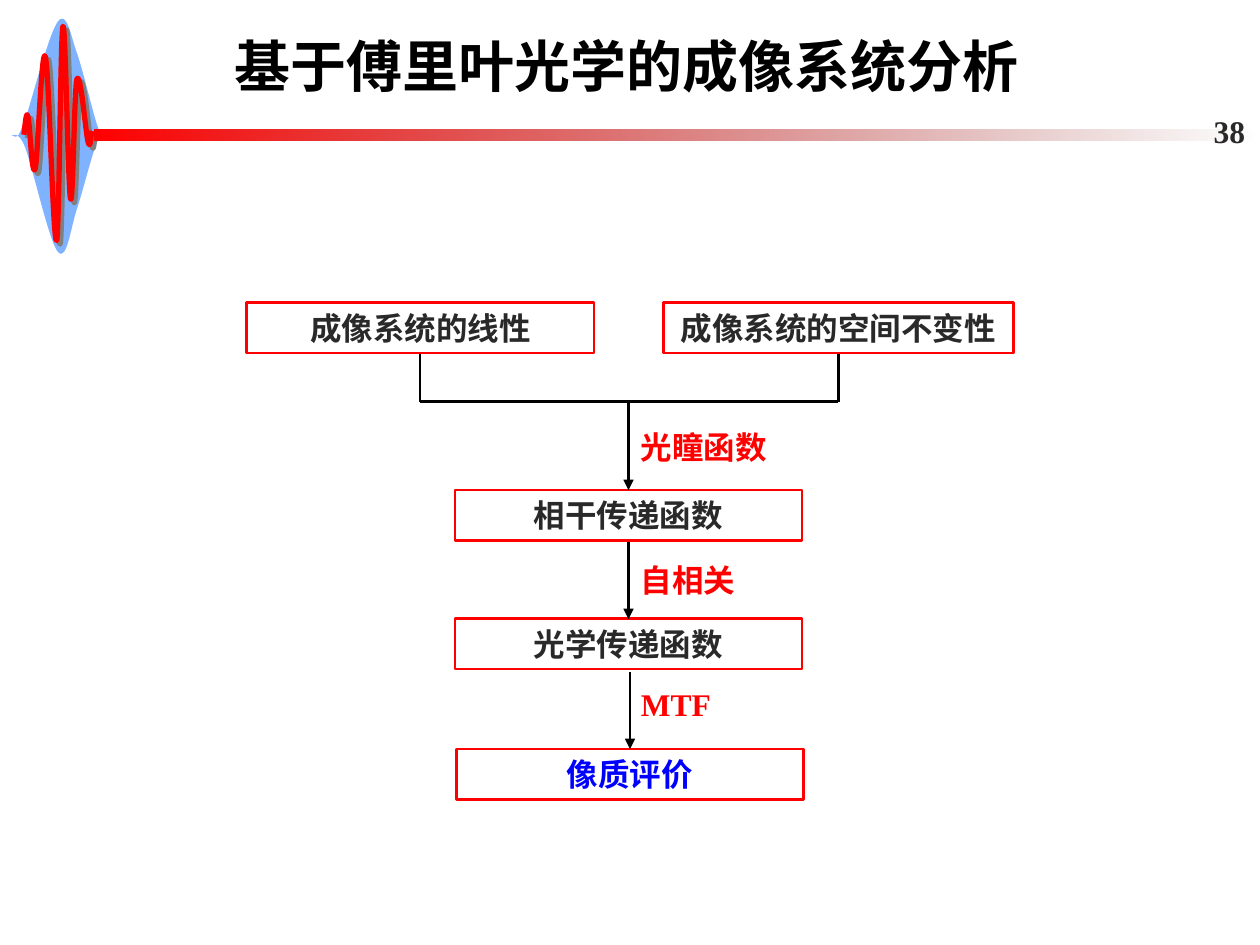
import math
from dataclasses import dataclass

from lxml import etree
from pptx import Presentation, util as u
from pptx.dml.color import RGBColor
from pptx.enum import shapes, text
from pptx.oxml import ns


@dataclass(frozen=True)
class Theme:
    red: RGBColor = RGBColor(0xFF, 0, 0)
    dark_red: RGBColor = RGBColor(0x76, 0, 0)
    blue: RGBColor = RGBColor(0, 0, 0xFF)
    sky: RGBColor = RGBColor(0, 0x66, 0xFF)
    black: RGBColor = RGBColor(0, 0, 0)
    ink: RGBColor = RGBColor(0x29, 0x29, 0x29)
    latin: str = "Times New Roman"
    cjk: str = "Noto Sans CJK SC"
    title: u.Pt = u.Pt(32)
    body: u.Pt = u.Pt(18)
    rule: u.Pt = u.Pt(1.5)


T = Theme()


def write(s, words, color, align, size=T.body, font=T.latin, wrap=True):
    tf = s.text_frame
    frame = {"word_wrap": wrap, "vertical_anchor": text.MSO_ANCHOR.MIDDLE}
    for key, value in frame.items():
        setattr(tf, key, value)
    p = tf.paragraphs[0]
    p.alignment = align
    r = p.add_run()
    r.text = words
    r.font.color.rgb = color
    for key, value in {"size": size, "bold": True, "name": font}.items():
        setattr(r.font, key, value)
    etree.SubElement(r.font._element, ns.qn("a:ea"), typeface=T.cjk)


def add_curve(coords, close):
    """Join cubic curves: a start, then two handles and an end for each (0.01 inch)."""
    pts = [(u.Cm(x * 0.0254), u.Cm(y * 0.0254)) for x, y in coords]
    fb = s_tree.build_freeform(*pts[0], scale=1.0)
    fb.add_line_segments(pts[1:], close=close)
    s = fb.convert_to_shape()
    s.shadow.inherit = False
    segments = s.element.xpath(".//a:lnTo")
    for i in range(0, len(segments) - 2, 3):
        curve = etree.Element(ns.qn("a:cubicBezTo"))
        segments[i].addprevious(curve)
        for segment in segments[i:i + 3]:
            curve.append(segment[0])
            segment.getparent().remove(segment)
    return s


prs = Presentation()
prs.slide_width, prs.slide_height = u.Cm(25.4), u.Cm(19.05)
s_tree = prs.slides.add_slide(prs.slide_layouts[6]).shapes

# Pale envelope behind the wave, outlined upright and then tilted
tilt, cx, cy = 358, 48, 108
cos, sin = math.cos(math.radians(-tilt)), math.sin(math.radians(-tilt))
envelope = [
    (9, 107), (8, 106), (12, 110), (14, 108), (15, 106), (14, 110), (20, 95),
    (25, 80), (39, 26), (46, 17), (53, 8), (56, 28), (61, 42),
    (66, 56), (74, 91), (78, 102), (83, 113), (88, 106), (88, 108),
    (88, 110), (82, 103), (77, 113), (73, 122), (66, 151), (61, 166),
    (56, 181), (53, 208), (46, 200), (39, 192), (26, 133), (20, 117),
    (14, 102), (10, 109), (9, 107)]
s = add_curve([(cx + (x - cx) * cos - (y - cy) * sin, cy + (x - cx) * sin + (y - cy) * cos)
               for x, y in envelope], close=True)
s.rotation = tilt
s.fill.solid()
s.fill.fore_color.rgb = T.sky
s.line.fill.background()
etree.SubElement(s.element.xpath(".//a:solidFill/a:srgbClr")[0], ns.qn("a:alpha"), val="50000")

# Red wave with its grey shadow
s = add_curve([
    (19, 107), (20, 98), (21, 88), (22, 92), (24, 97), (25, 142), (28, 134),
    (30, 126), (33, 35), (36, 45), (39, 54), (42, 195), (45, 191),
    (47, 187), (48, 26), (50, 21), (52, 15), (54, 151), (56, 158),
    (58, 165), (59, 70), (61, 63), (64, 55), (68, 106), (70, 113),
    (72, 120), (72, 106), (73, 104)], close=False)
s.fill.background()
s.line.color.rgb = T.red
s.line.width = u.Pt(3)
shadow = etree.SubElement(s.element.spPr.find(ns.qn("a:effectLst")), ns.qn("a:outerShdw"),
                          dist=str(u.Pt(2.8)), dir="2700000", algn="ctr", rotWithShape="0")
etree.SubElement(shadow, ns.qn("a:srgbClr"), val="808080")

# Fading bar
s = s_tree.add_shape(shapes.MSO_SHAPE.RECTANGLE, u.Cm(1.9), u.Cm(2.62), u.Cm(23.5), u.Cm(0.21))
s.shadow.inherit = False
s.line.fill.background()
s.fill.gradient()
s.fill.gradient_angle = 0
for stop, color, place in zip(s.fill.gradient_stops, (T.red, T.dark_red), (0, 1)):
    stop.color.rgb = color
    stop.position = place
etree.SubElement(s.element.xpath(".//a:gs/a:srgbClr")[-1], ns.qn("a:alpha"), val="0")

# Title and page number
s = s_tree.add_textbox(u.Cm(2.69), u.Cm(0.31), u.Cm(19.89), u.Cm(2.01))
write(s, "基于傅里叶光学的成像系统分析", T.black, text.PP_ALIGN.CENTER, T.title, T.cjk)
s = s_tree.add_textbox(u.Cm(23.14), u.Cm(2.34), u.Cm(2.21), u.Cm(0.61))
write(s, "38", T.ink, text.PP_ALIGN.RIGHT)

# Flow boxes
for words, x, y, w, color in [
    ("成像系统的线性", 4.97, 6.1, 7.01, T.ink),
    ("成像系统的空间不变性", 13.37, 6.1, 7.06, T.ink),
    ("相干传递函数", 9.17, 9.88, 7.0, T.ink),
    ("光学传递函数", 9.17, 12.47, 7.0, T.ink),
    ("像质评价", 9.2, 15.1, 7.0, T.blue),
]:
    s = s_tree.add_shape(shapes.MSO_SHAPE.RECTANGLE, u.Cm(x), u.Cm(y), u.Cm(w), u.Cm(1.02))
    s.shadow.inherit = False
    s.fill.background()
    s.line.color.rgb = T.red
    s.line.width = T.rule
    write(s, words, color, text.PP_ALIGN.CENTER)

# Bracket joining the top boxes, then the arrows down
for x1, y1, x2, y2, arrow in [
    (8.47, 7.13, 8.47, 8.1, False),
    (8.47, 8.1, 16.9, 8.1, False),
    (16.9, 7.13, 16.9, 8.1, False),
    (12.67, 8.1, 12.67, 9.88, True),
    (12.67, 10.92, 12.67, 12.48, True),
    (12.7, 13.55, 12.7, 15.1, True),
]:
    s = s_tree.add_connector(shapes.MSO_CONNECTOR.STRAIGHT, u.Cm(x1), u.Cm(y1), u.Cm(x2), u.Cm(y2))
    s.line.color.rgb = T.black
    s.line.width = T.rule
    if arrow:
        etree.SubElement(s.line._get_or_add_ln(), ns.qn("a:tailEnd"), type="triangle")
    etree.SubElement(s.element.spPr, ns.qn("a:effectLst"))

# Arrow labels
for words, y, w in [("光瞳函数", 8.5, 3.07), ("自相关", 11.19, 2.44), ("MTF", 13.69, 1.93)]:
    s = s_tree.add_textbox(u.Cm(12.67), u.Cm(y), u.Cm(w), u.Cm(1.02))
    write(s, words, T.red, text.PP_ALIGN.LEFT, wrap=False)

prs.save("out.pptx")
